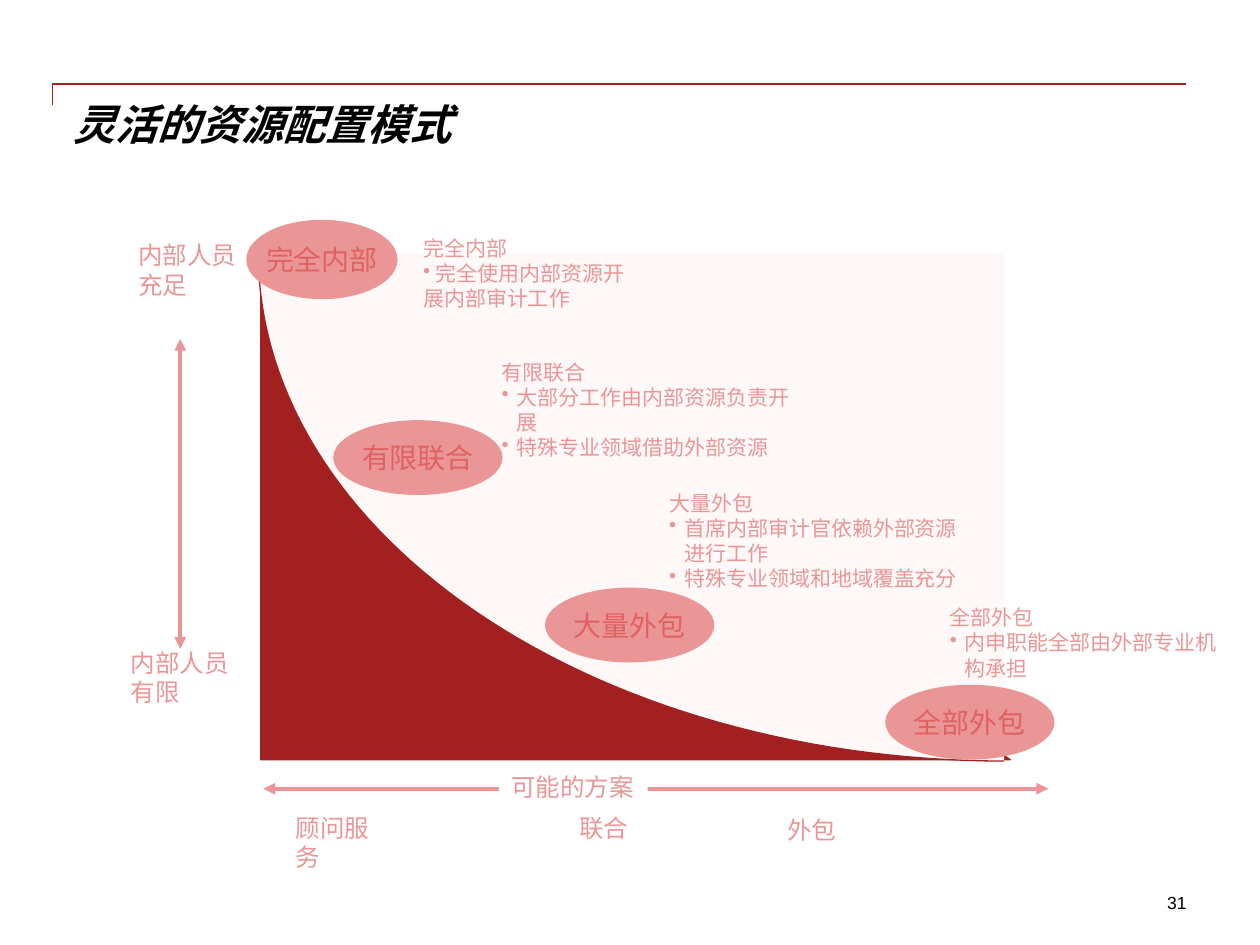
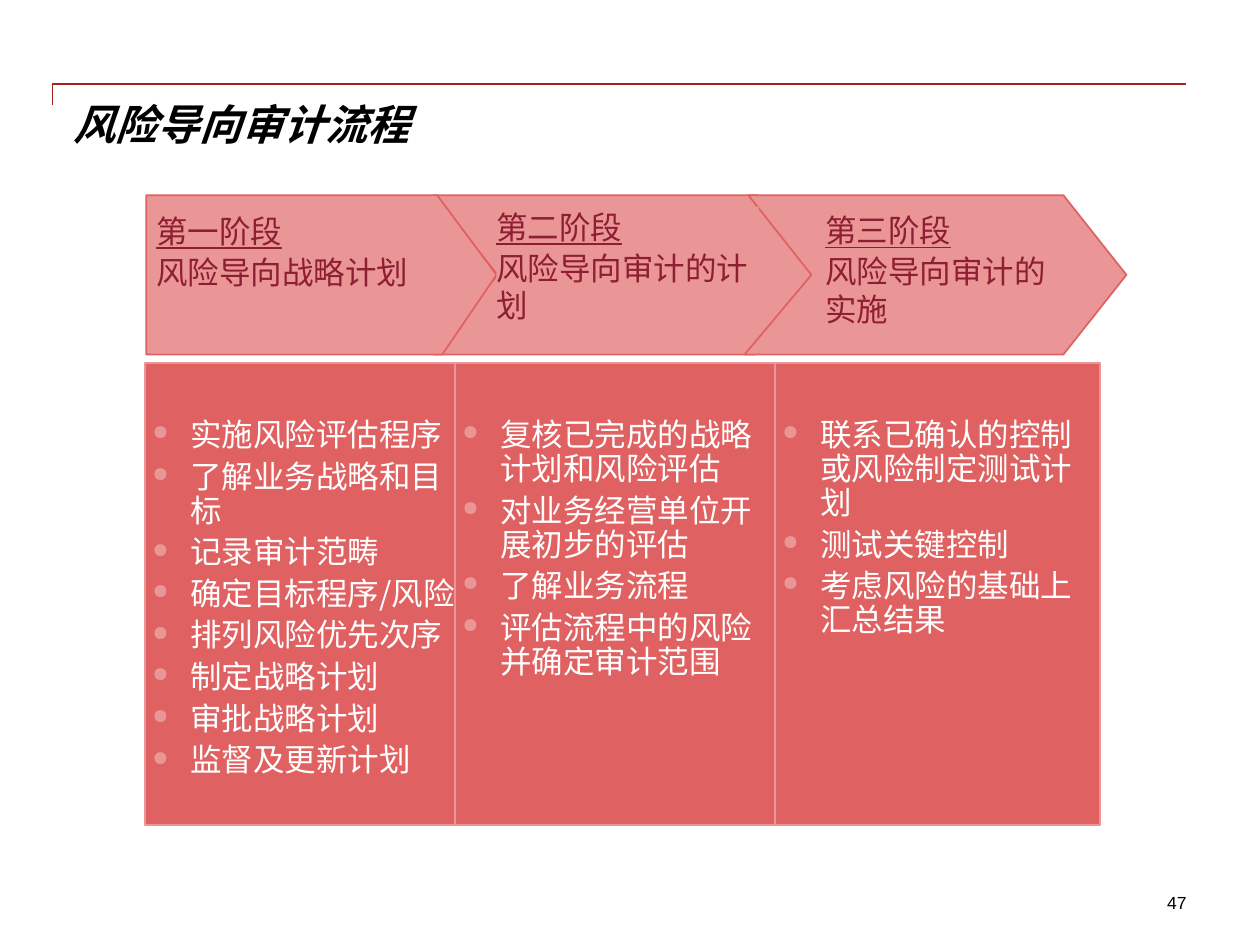
import math
from dataclasses import dataclass
from typing import NamedTuple

from lxml import etree
from pptx import Presentation
from pptx import util as u
from pptx.dml.color import RGBColor
from pptx.enum import shapes, text
from pptx.oxml.ns import qn

Pt = u.Pt


@dataclass(frozen=True)
class Theme:
    """Colours, fonts and type sizes shared by the slides."""
    dark: str = "A32020"
    mid: str = "E06161"
    soft: str = "EA9696"
    pale: str = "FEF8F8"
    wine: str = "8E1E31"
    white: str = "FFFFFF"
    black: str = "000000"
    latin: str = "Arial"
    chinese: str = "Noto Sans CJK SC"
    title: int = 24
    stage: int = 18
    model: int = 16
    axis: int = 14
    note: int = 12
    number: int = 10


THEME = Theme()


class Box(NamedTuple):
    """A rectangle in points."""
    left: float
    top: float
    width: float
    height: float

    def inner(self, dx, dy, width, height):
        """Return a box offset from this one's corner."""
        return Box(self.left + dx, self.top + dy, width, height)

    def point(self, dx, dy):
        """Return a position offset from this box's corner."""
        return self.left + dx, self.top + dy


def apply(target, formats):
    """Set each attribute named in a dict of format values."""
    for name, value in formats.items():
        setattr(target, name, value)


def paint(shape, fill=None, line=None, weight=0.75):
    """Give a shape flat fill and line colours."""
    shape.shadow.inherit = False
    for part, colour in ((shape.fill, fill), (shape.line.fill, line)):
        if colour:
            part.solid()
            part.fore_color.rgb = RGBColor.from_string(colour)
        else:
            part.background()
    if line:
        shape.line.width = Pt(weight)
    return shape


def add_bullet(paragraph, char, colour=None, percent=None):
    """Put a bullet character on a paragraph."""
    props = paragraph._p.get_or_add_pPr()
    if colour:
        holder = etree.SubElement(props, qn("a:buClr"))
        etree.SubElement(holder, qn("a:srgbClr"), val=colour)
    if percent:
        etree.SubElement(props, qn("a:buSzPct"), val=str(percent * 1000))
    etree.SubElement(props, qn("a:buChar"), char=char)


def write(shape, lines, size, colour, font=THEME.chinese, inset=(7.2, 3.6), top=None, wrap=True,
          anchor="TOP", align="LEFT", leading=1.2, gap=0, margin=0, hanging=0,
          bullet=None, plain=0, first=None, **styles):
    """Write lines as paragraphs; the first plain ones carry no bullet."""
    across, down = map(Pt, inset)
    frame = shape.text_frame
    apply(frame, {
        "margin_left": across, "margin_right": across, "margin_bottom": down,
        "margin_top": down if top is None else Pt(top), "word_wrap": wrap,
        "vertical_anchor": getattr(text.MSO_ANCHOR, anchor)})
    for index, line in enumerate(lines):
        paragraph = frame.add_paragraph() if index else frame.paragraphs[0]
        props = paragraph._p.get_or_add_pPr()
        props.set("marL", str(Pt(margin)))
        props.set("indent", str(Pt(-hanging)))
        if bullet and index >= plain:
            add_bullet(paragraph, *bullet)
        apply(paragraph, {
            "alignment": getattr(text.PP_ALIGN, align),
            "line_spacing": Pt(round(size * leading, 1)),
            "space_before": Pt(gap if index else 0)})
        run = paragraph.add_run()
        run.text = line
        run.font.color.rgb = RGBColor.from_string(colour)
        apply(run.font, {"size": Pt(size), "name": font, **styles})
        if first and not index:
            apply(run.font, first)
        etree.SubElement(run.font._element, qn("a:ea"), typeface=THEME.chinese)


def add_text(slide, box, lines, size, colour, **formats):
    """Add a text box."""
    write(slide.shapes.add_textbox(*map(Pt, box)), lines, size, colour, **formats)


def add_block(slide, kind, box, **colours):
    """Add a painted preset shape."""
    preset = getattr(shapes.MSO_SHAPE, kind)
    return paint(slide.shapes.add_shape(preset, *map(Pt, box)), **colours)


def add_outline(slide, points, closed=True, **colours):
    """Add a painted freeform through the given points."""
    start, *rest = [(Pt(x), Pt(y)) for x, y in points]
    builder = slide.shapes.build_freeform(*start)
    builder.add_line_segments(rest, close=closed)
    return paint(builder.convert_to_shape(), **colours)


def add_rule(slide, start, end, colour, weight, arrows=False):
    """Add a straight line, with arrowheads at both ends if asked."""
    rule = slide.shapes.add_connector(shapes.MSO_CONNECTOR.STRAIGHT, *map(Pt, start + end))
    rule.line.color.rgb = RGBColor.from_string(colour)
    rule.line.width = Pt(weight)
    if arrows:
        for tip in ("a:headEnd", "a:tailEnd"):
            etree.SubElement(rule.line._get_or_add_ln(), qn(tip), type="triangle")
    etree.SubElement(rule._element.spPr, qn("a:effectLst"))


def add_frame(deck, title, number):
    """Add a slide with the corner rule, title and page number."""
    slide = deck.slides.add_slide(deck.slide_layouts[6])
    page = Box(30, 48, 648, 474)
    corner = page.point(0, 0)
    for end in (page.point(0, 12), page.point(page.width, 0)):
        add_rule(slide, corner, end, THEME.dark, 1)
    add_text(slide, page.inner(12, 6, 636, 72), [title], THEME.title, THEME.black,
             font=THEME.latin, inset=(0, 0), leading=1.3, bold=True, italic=True)
    add_text(slide, page.inner(528, 462, 120, 12), [number], THEME.number, THEME.black,
             font=THEME.latin, inset=(0, 0), align="RIGHT")
    return slide


def add_curve(slide, box):
    """Draw the quarter-ellipse curve over the dark triangle."""
    base = [box.point(1.4, -5.7), box.point(1.4, 289.5), box.point(429.8, 289.5)]
    add_outline(slide, base, fill=THEME.dark, line=THEME.dark)
    steps = 60
    angles = [math.pi / 2 * step / steps for step in range(steps + 1)]
    curve = [box.point(box.width * (1 - math.sin(a)), box.height * math.cos(a)) for a in angles]
    add_outline(slide, curve + [box.point(box.width, 0)], fill=THEME.pale)
    add_outline(slide, curve, closed=False, line=THEME.dark)


def add_axes(slide, box):
    """Draw the staffing and solution axes with their labels."""
    for start, end in (((-44.6, 49), (-44.6, 226.1)), ((2.9, 306), (451.4, 306))):
        add_rule(slide, box.point(*start), box.point(*end), THEME.soft, 2.25, arrows=True)
    labels = [
        ((-75.6, -10.8, 72, 41), ["内部人员", "充足"]),
        ((-79.9, 221.8, 72, 41), ["内部人员", "有限"]),
        ((14.4, 316.1, 70, 41), ["顾问服务"]),
        ((176.4, 316.1, 43, 24), ["联合"]),
        ((295.2, 317.5, 129, 24), ["外包"]),
    ]
    for place, lines in labels:
        add_text(slide, box.inner(*place), lines, THEME.axis, THEME.soft)
    solutions = add_block(slide, "RECTANGLE", box.inner(137.5, 293.1, 85, 24), fill=THEME.white)
    write(solutions, ["可能的方案"], THEME.axis, THEME.soft)


def add_model(slide, box, name, oval, note, points, margin, hanging, inset):
    """Place one sourcing model: its oval and its explanation."""
    add_text(slide, box.inner(*note), [name] + points, THEME.note, THEME.soft, inset=inset,
             margin=margin, hanging=hanging, bullet=("•",), plain=1)
    ellipse = add_block(slide, "OVAL", box.inner(*oval), fill=THEME.soft, line=THEME.soft)
    write(ellipse, [name], THEME.model, THEME.mid, inset=(0, 0), wrap=False,
          anchor="MIDDLE", align="CENTER")


def build_sourcing(deck):
    """Build the slide on sourcing models."""
    slide = add_frame(deck, "灵活的资源配置模式", "31")
    box = Box(147.6, 144.7, 426.2, 290.2)
    add_curve(slide, box)
    add_axes(slide, box)
    wide = (8.6, 4.3)
    models = [
        ("完全内部", (-6.5, -18.7, 85.7, 44.6), (87.1, -13.7, 138.2, 51),
         [" 完全使用内部资源开展内部审计工作"], 0, 0, (7.2, 3.6)),
        ("有限联合", (43.2, 95.8, 96, 42), (122.4, 56.2, 195.1, 67),
         ["大部分工作由内部资源负责开展", "特殊专业领域借助外部资源"], 16.6, 8.6, wide),
        ("大量外包", (164.2, 191.5, 96, 42), (218.2, 131.1, 195.1, 67),
         ["首席内部审计官依赖外部资源进行工作", "特殊专业领域和地域覆盖充分"], 16.6, 8.6, wide),
        ("全部外包", (358.6, 247, 96, 42), (386.6, 196.6, 169.9, 53),
         ["内申职能全部由外部专业机构承担"], 8.6, 8.6, wide),
    ]
    for model in models:
        add_model(slide, box, *model)


def add_arrow(slide, box, left, right, tip, low_right, low_left, notch):
    """Draw one stage arrow across the height of the box."""
    middle = box.height / 2
    corners = [(left, 0), (right, 0), (tip, middle), (low_right, box.height),
               (low_left, box.height), (notch, middle)]
    add_outline(slide, [box.point(*corner) for corner in corners],
                fill=THEME.soft, line=THEME.mid, weight=1)


def add_tasks(slide, box, tasks):
    """Fill one column with the tasks of a stage."""
    column = add_block(slide, "RECTANGLE", box, fill=THEME.mid, line=THEME.soft, weight=1)
    write(column, tasks, THEME.stage, THEME.white, inset=(4.3, 4.3), top=32, leading=1.08,
          gap=4.4, margin=21.6, hanging=21.6, bullet=("●", THEME.soft, 65))


def add_heading(slide, box, lines):
    """Place the underlined stage name and its subject."""
    heading = add_block(slide, "RECTANGLE", box, fill=THEME.soft)
    write(heading, lines, THEME.stage, THEME.wine, inset=(0, 0), anchor="MIDDLE",
          gap=1.8, first={"underline": True})


def build_process(deck):
    """Build the slide on the three audit stages."""
    slide = add_frame(deck, "风险导向审计流程", "47")
    box = Box(82.8, 111.6, 561, 360)
    band = box.inner(0, 0, box.width, 91)
    arrows = [
        (164.9, 349.9, 387.4, 348.5, 164.9, 201.6),
        (344.9, 524.9, 560.9, 524.9, 342.7, 380.9),
        (0.7, 167, 200.9, 169.9, 0.7, 0.7),
    ]
    for arrow in arrows:
        add_arrow(slide, band, *arrow)
    columns = [
        (0, 185.8, ["实施风险评估程序", "了解业务战略和目标", "记录审计范畴", "确定目标程序/风险",
                    "排列风险优先次序", "制定战略计划", "审批战略计划", "监督及更新计划"]),
        (177.1, 182.9, ["复核已完成的战略计划和风险评估", "对业务经营单位开展初步的评估",
                        "了解业务流程", "评估流程中的风险并确定审计范围"]),
        (360, 185.8, ["联系已确认的控制或风险制定测试计划", "测试关键控制",
                      "考虑风险的基础上汇总结果"]),
    ]
    for left, width, tasks in columns:
        add_tasks(slide, box.inner(left, 95.8, width, 264.2), tasks)
    headings = [
        ((6.5, 9.4, 157.7, 45.4), ["第一阶段", "风险导向战略计划"]),
        ((200.9, 6.5, 149.8, 67.7), ["第二阶段", "风险导向审计的计划"]),
        ((388.8, 8.6, 138.2, 67.7), ["第三阶段", "风险导向审计的实施"]),
    ]
    for place, lines in headings:
        add_heading(slide, band.inner(*place), lines)


def main():
    """Build and save the deck."""
    deck = Presentation()
    apply(deck, {"slide_width": Pt(720), "slide_height": Pt(540)})
    build_sourcing(deck)
    build_process(deck)
    deck.save("out.pptx")


if __name__ == "__main__":
    main()
